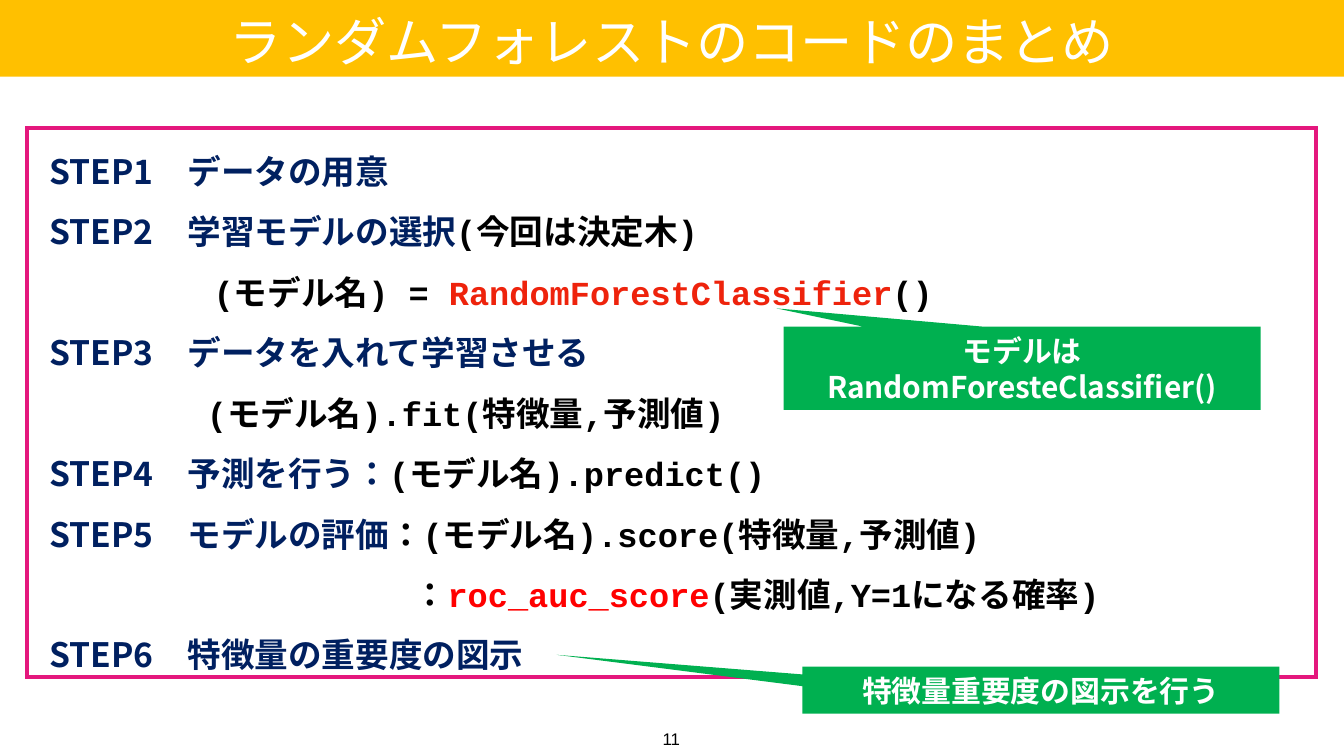
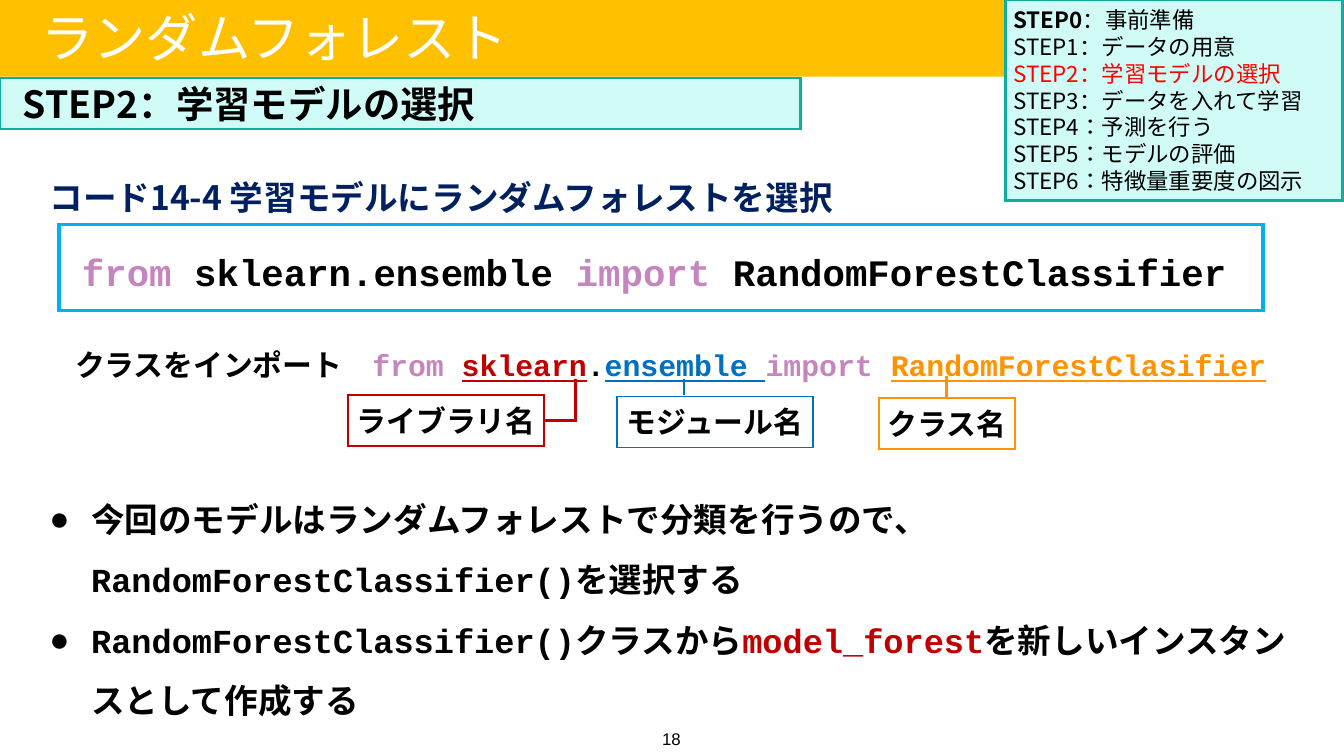
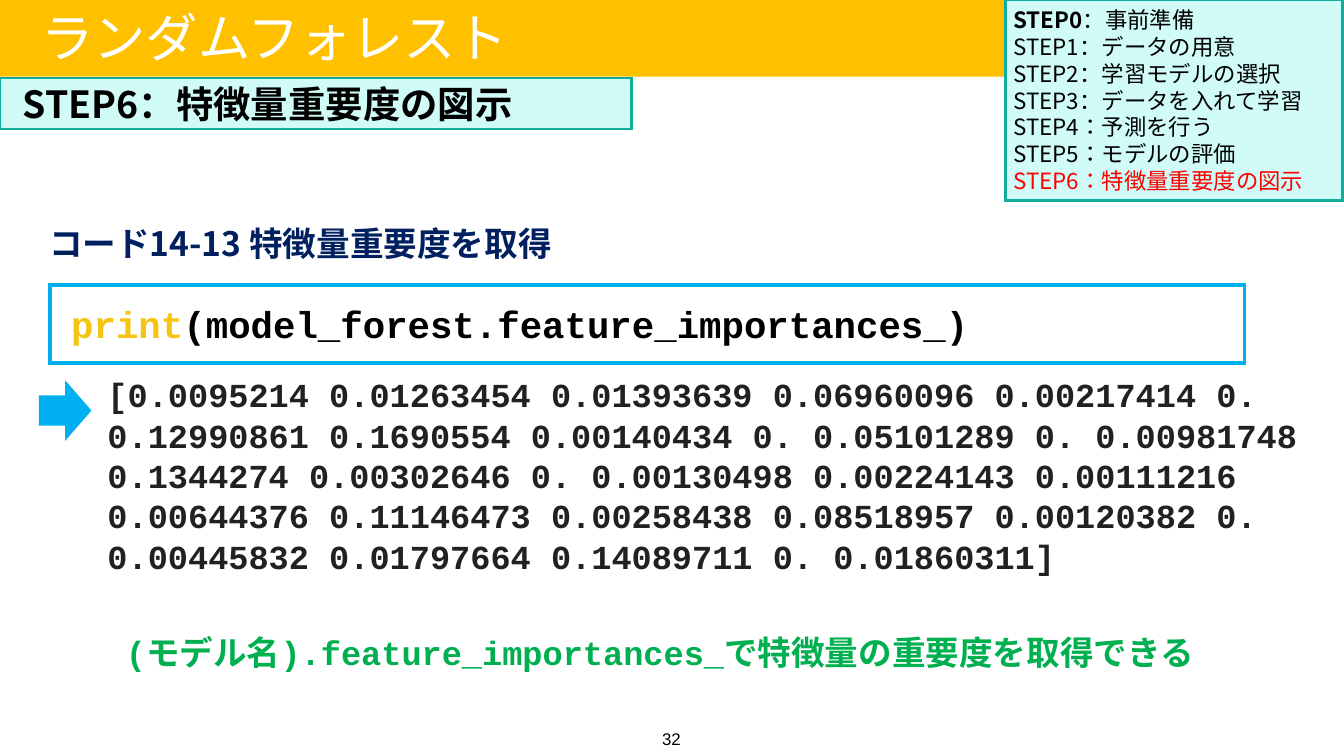
"""Build three slides on random forest code with shared bands, panels and footers."""
from lxml.etree import SubElement
from pptx import Presentation
from pptx.dml.color import RGBColor
from pptx.enum.lang import MSO_LANGUAGE_ID
from pptx.enum.shapes import MSO_CONNECTOR, MSO_SHAPE
from pptx.enum.text import MSO_ANCHOR, MSO_AUTO_SIZE, PP_ALIGN
from pptx.oxml.ns import qn
from pptx.util import Inches, Pt

WIDE = 10
HIGH = WIDE * 9 / 16
BAND = 0.57
SANS, MONO = "Noto Sans CJK JP", "Courier New"
BLACK, WHITE, NAVY, RED = "000000", "FFFFFF", "002060", "FF0000"
GOLD, GREEN, SKY, PINK = "FFC000", "00B050", "00B0F0", "E4177D"
MINT, TEAL, LILAC, INK = "D0FBF6", "10AD9B", "C586C0", "212121"
BRICK, BLUE, AMBER = "C00000", "0070C0", "FF9300"
THIN, SNUG, SOFT = (0.02,) * 4, (0.04,) * 4, (0.06,) * 4

TOPIC = "ランダムフォレスト"
STEPS = ["事前準備", "データの用意", "学習モデルの選択", "データを入れて学習",
         "予測を行う", "モデルの評価", "特徴量重要度の図示"]

RECAP = [
    (0.15, [("STEP1　データの用意", NAVY, SANS)]),
    (0.15, [("STEP2　学習モデルの選択", NAVY, SANS), ("(今回は決定木)", BLACK)]),
    (1.37, [("(モデル名) = ", BLACK), ("RandomForestClassifier", "EE230C"), ("()", BLACK)]),
    (0.15, [("STEP3　データを入れて学習させる", NAVY, SANS)]),
    (1.32, [("(モデル名).fit(特徴量,予測値)", BLACK)]),
    (0.15, [("STEP4　予測を行う", NAVY, SANS), ("：", NAVY), ("(モデル名).predict()", BLACK)]),
    (0.15, [("STEP5　モデルの評価", NAVY, SANS), ("：(モデル名).score(特徴量,予測値)", BLACK)]),
    (2.86, [("：", BLACK), ("roc_auc_score", RED), ("(実測値,Y=1になる確率)", BLACK)]),
    (0.15, [("STEP6　特徴量の重要度の図示", NAVY, SANS)]),
]
CALLS = [
    ("特徴量重要度の図示を行う", (5.97, 4.96, 3.55, 0.35), (-1.015, -0.75)),
    ("モデルはRandomForesteClassifier()", (5.83, 2.43, 3.55, 0.62), (-0.515, -0.719)),
]
LOAD = [("from ", LILAC), ("sklearn.ensemble ", BLACK), ("import ", LILAC),
        ("RandomForestClassifier", BLACK)]
PARTS = [("クラスをインポート　", BLACK), ("from ", LILAC), ("sklearn", BRICK, MONO, True),
         (".", BLACK), ("ensemble ", BLUE, MONO, True), ("import ", LILAC),
         ("RandomForestClasifier", AMBER, MONO, True)]
TAGS = [("ライブラリ名", (2.59, 2.94, 1.46, 0.38), BRICK),
        ("モジュール名", (4.59, 2.95, 1.46, 0.38), BLUE),
        ("クラス名", (6.54, 2.96, 1.01, 0.38), AMBER)]
LINKS = [((4.28, 3.14), (4.28, 2.82), BRICK), ((4.28, 3.13), (4.05, 3.13), BRICK),
         ((5.09, 2.94), (5.09, 2.82), BLUE), ((7.04, 2.96), (7.04, 2.8), AMBER)]
NOTES = [
    (0.46, [("今回のモデルはランダムフォレストで分類を行うので、 "
             "RandomForestClassifier()を選択する", BLACK)]),
    (0.46, [("RandomForestClassifier()クラスから", BLACK), ("model_forest", BRICK),
            ("を新しいインスタンスとして作成する", BLACK)]),
]
SHOW = [("print", "F5C511"), ("(model_forest.feature_importances_)", BLACK)]
SCORES = (
    "[0.0095214 0.01263454 0.01393639 0.06960096 0.00217414 0. "
    "0.12990861 0.1690554 0.00140434 0. 0.05101289 0. 0.00981748 "
    "0.1344274 0.00302646 0. 0.00130498 0.00224143 0.00111216 "
    "0.00644376 0.11146473 0.00258438 0.08518957 0.00120382 0. "
    "0.00445832 0.01797664 0.14089711 0. 0.01860311]")
HINT = "(モデル名).feature_importances_で特徴量の重要度を取得できる"


def hue(code):
    return RGBColor.from_string(code)


def shape(slide, box, fill=None, edge=None, kind=MSO_SHAPE.RECTANGLE):
    item = slide.shapes.add_shape(kind, *map(Inches, box))
    item.shadow.inherit = False
    if fill:
        item.fill.solid()
        item.fill.fore_color.rgb = hue(fill)
    else:
        item.fill.background()
    if edge:
        item.line.color.rgb = hue(edge[0])
        item.line.width = Pt(edge[1])
        SubElement(item.line._get_or_add_ln(), qn("a:miter")).set("lim", "800000")
    else:
        item.line.fill.background()
    return item


def label(slide, box):
    return slide.shapes.add_textbox(*map(Inches, box))


def add_run(para, size, bold, text, color, face=MONO, under=False):
    run = para.add_run()
    run.text = text
    font = run.font
    font.size, font.bold, font.name = Pt(size), bold, face
    font.color.rgb = hue(color)
    if under:
        font.underline = True
    SubElement(run._r.get_or_add_rPr(), qn("a:ea")).set("typeface", SANS)


def speak(paras):
    for para in paras:
        for run in para.runs:
            run.font.language_id = MSO_LANGUAGE_ID.JAPANESE


def write(item, paras, size, bold=True, pad=THIN, mid=True, center=False,
          wrap=True, space=None, hang=0, dot=None):
    frame = item.text_frame
    frame.word_wrap = wrap
    frame.auto_size = MSO_AUTO_SIZE.SHAPE_TO_FIT_TEXT
    frame.vertical_anchor = MSO_ANCHOR.MIDDLE if mid else MSO_ANCHOR.TOP
    (frame.margin_left, frame.margin_top,
     frame.margin_right, frame.margin_bottom) = map(Inches, pad)
    for num, (indent, runs) in enumerate(paras):
        para = frame.add_paragraph() if num else frame.paragraphs[0]
        para.alignment = PP_ALIGN.CENTER if center else PP_ALIGN.LEFT
        props = para._p.get_or_add_pPr()
        props.set("marL", str(Inches(indent)))
        props.set("indent", str(Inches(hang)))
        if dot:
            SubElement(props, qn("a:buFont")).set("typeface", "Arial")
            SubElement(props, qn("a:buChar")).set("char", dot)
        if space:
            para.line_spacing = space
        for run in runs:
            add_run(para, size, bold, *run)


def link(slide, start, end, color):
    line = slide.shapes.add_connector(
        MSO_CONNECTOR.STRAIGHT, *map(Inches, start + end))
    line.line.color.rgb = hue(color)
    line.line.width = Pt(1.5)
    SubElement(line._element.spPr, qn("a:effectLst"))


def start(deck, page):
    slide = deck.slides.add_slide(deck.slide_layouts[6])
    shape(slide, (0, 0, WIDE, BAND), GOLD)
    write(label(slide, (4.85, 5.36, 0.29, 0.26)), [(0, [(page, BLACK, "Arial")])],
          9, bold=False, pad=SOFT, mid=False, center=True, wrap=False)
    return slide


def lesson(deck, page, step, width):
    slide = start(deck, page)
    write(label(slide, (0.29, 0.02, 4.26, 0.51)), [(0, [(TOPIC, WHITE, SANS)])],
          28, bold=False)
    write(shape(slide, (0, 0.58, width, 0.38), MINT, (TEAL, 1.5)),
          [(0.15, [(f"STEP{step}：{STEPS[step]}", BLACK, SANS)])], 20)
    panel = shape(slide, (7.48, 0, 2.51, 1.49), MINT, (TEAL, 1.5))
    lines = [(0.11, [("STEP0", BLACK, SANS), (f"：{STEPS[0]}", BLACK, SANS)])]
    for num, name in enumerate(STEPS[1:], 1):
        color = RED if num == step else BLACK
        lines.append((0.11, [(f"STEP{num}：{name}", color, SANS)]))
    write(panel, lines, 12, bold=False, pad=(0, 0.04, 0.04, 0.04), hang=-0.05)
    paras = panel.text_frame.paragraphs
    paras[0].runs[0].font.bold = True
    speak(paras[4:])
    return slide


def recap(deck):
    slide = start(deck, "11")
    frame = shape(slide, (0.2, 0.95, 9.59, 4.09), edge=(PINK, 2))
    write(frame, RECAP, 18, space=1.5)
    speak(frame.text_frame.paragraphs)
    write(label(slide, (0, 0.05, WIDE, 0.51)),
          [(0, [(TOPIC + "のコードのまとめ", WHITE, SANS)])], 28, bold=False, center=True)
    for text, box, tip in CALLS:
        call = shape(slide, box, GREEN, kind=MSO_SHAPE.RECTANGULAR_CALLOUT)
        call.adjustments[0], call.adjustments[1] = tip
        write(call, [(0, [(text, WHITE, SANS)])], 16, pad=SNUG, center=True)


def choose(deck):
    slide = lesson(deck, "18", 2, 5.96)
    plain = (0.1, 0.05, 0.1, 0.05)
    write(shape(slide, (0.44, 1.67, 8.96, 0.64), edge=(SKY, 2)), [(0.17, LOAD)],
          20, pad=(0, 0.12, 0, 0.12), space=1.2)
    write(label(slide, (0.12, 3.51, 9.56, 1.88)), NOTES, 18, pad=plain, mid=False,
          space=1.5, hang=-0.31, dot="●")
    write(label(slide, (0.12, 1.12, 6.59, 0.52)),
          [(0.15, [("コード14-4 学習モデルにランダムフォレストを選択", NAVY, SANS)])],
          18, pad=plain, mid=False, space=1.5)
    write(label(slide, (0.44, 2.45, 9.56, 0.87)), [(0.02, PARTS)], 16, pad=plain,
          mid=False, space=1.3)
    for text, box, color in TAGS:
        write(shape(slide, box, edge=(color, 1)), [(0, [(text, BLACK)])], 16,
              pad=SOFT, center=True, wrap=False)
    for ends in LINKS:
        link(slide, *ends)


def weigh(deck):
    slide = lesson(deck, "32", 6, 4.7)
    write(shape(slide, (0.37, 2.12, 8.89, 0.58), edge=(SKY, 2)), [(0, SHOW)],
          20, pad=(0.16, 0.12, 0, 0.12))
    write(label(slide, (0.74, 2.72, 9.26, 1.63)), [(0, [(SCORES, INK)])], 18, pad=SOFT)
    write(label(slide, (0.26, 1.63, 3.95, 0.35)),
          [(0, [("コード14-13 特徴量重要度を取得", NAVY, SANS)])], 18,
          center=True, wrap=False)
    write(label(slide, (0.85, 4.64, 8.12, 0.42)), [(0, [(HINT, GREEN)])], 18,
          pad=SOFT, center=True)
    shape(slide, (0.29, 2.83, 0.39, 0.45), SKY, kind=MSO_SHAPE.RIGHT_ARROW)


def main():
    deck = Presentation()
    deck.slide_width, deck.slide_height = Inches(WIDE), Inches(HIGH)
    for build in (recap, choose, weigh):
        build(deck)
    deck.save("out.pptx")


if __name__ == "__main__":
    main()
